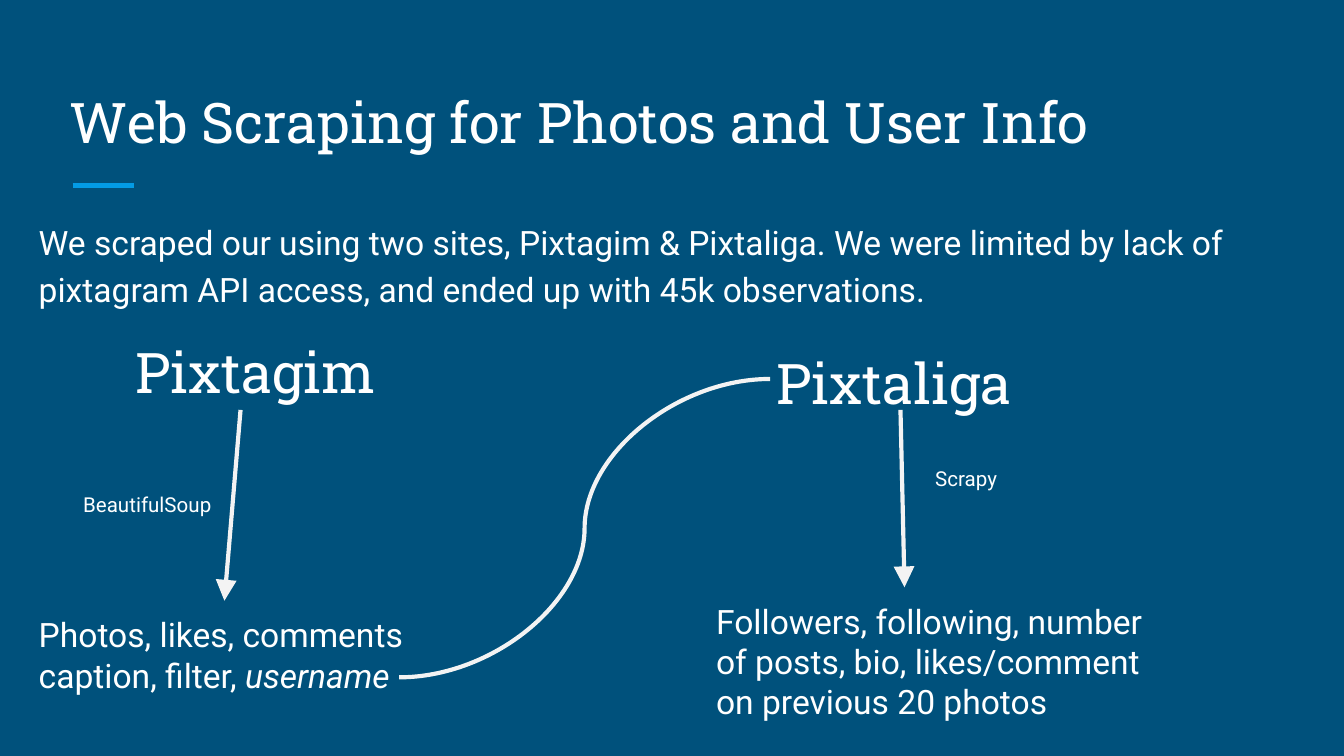
from lxml import etree
from pptx import Presentation
from pptx.dml.color import RGBColor
from pptx.enum.shapes import MSO_CONNECTOR
from pptx.enum.text import MSO_ANCHOR, MSO_AUTO_SIZE, PP_ALIGN
from pptx.oxml.ns import qn
from pptx.util import Inches, Pt

STRAIGHT, CURVE = MSO_CONNECTOR.STRAIGHT, MSO_CONNECTOR.CURVE
TOP, BOTTOM = MSO_ANCHOR.TOP, MSO_ANCHOR.BOTTOM

BACKGROUND, ACCENT, ARROW, TEXT = "00517C", "039BE5", "F3F3F3", "FFFFFF"
HEADING_FONT, BODY_FONT = "Roboto Slab", "Roboto"

TITLE = ("Web Scraping for Photos and User Info", (0.42, 0.5, 9.15, 0.75))
INTRO = ("We scraped our using two sites, Pixtagim & Pixtaliga. We were limited "
         "by lack of pixtagram API access, and ended up with 45k observations.",
         (0.19, 1.51, 9.6, 0.59))

# Each text is a list of (words, italic) runs or a plain string.
SITES = [
    {
        "name": ("Pixtagim", (0.91, 2.36, 2.06, 0.75)),
        "tool": ("BeautifulSoup", (0.52, 3.56, 1.27, 0.45)),
        "data": ([("Photos, likes, comments caption, filter, ", False),
                  ("username", True)], (0.19, 4.47, 2.97, 1.26)),
        "arrow": ((1.79, 3.05), (1.67, 4.47)),
    },
    {
        "name": ("Pixtaliga", (5.68, 2.44, 2.06, 0.75)),
        "tool": ("Scrapy", (6.86, 3.37, 1.27, 0.45)),
        "data": ("Followers, following, number of posts, bio, likes/comment "
                 "on previous 20 photos", (5.23, 4.37, 3.4, 1.26)),
        "arrow": ((6.7, 3.05), (6.73, 4.37)),
    },
]
TITLE_RULE = ((0.54, 1.38), (1, 1.38))
USERNAME_LINK = ((2.97, 5.04), (5.73, 2.82))


def rgb(value):
    return RGBColor.from_string(value)


def fill_text(shape, text, box, size, font=BODY_FONT, anchor=TOP, spacing=1.0):
    """Place a text shape and write one left-aligned paragraph in it."""
    shape.left, shape.top, shape.width, shape.height = map(Inches, box)
    frame = shape.text_frame
    frame.auto_size = MSO_AUTO_SIZE.NONE
    frame.word_wrap = True
    frame.vertical_anchor = anchor
    frame.margin_left = frame.margin_right = Inches(0.1)
    frame.margin_top = frame.margin_bottom = Inches(0.1)
    paragraph = frame.paragraphs[0]
    paragraph.alignment = PP_ALIGN.LEFT
    paragraph.line_spacing = spacing
    paragraph.font.name = font
    paragraph.font.size = Pt(size)
    paragraph.font.color.rgb = rgb(TEXT)
    runs = [(text, False)] if isinstance(text, str) else text
    for words, italic in runs:
        run = paragraph.add_run()
        run.text = words
        if italic:
            run.font.italic = True


def add_text(slide, text, box, size, **style):
    shape = slide.shapes.add_textbox(0, 0, 0, 0)
    fill_text(shape, text, box, size, **style)


def add_line(slide, ends, color, width, kind=STRAIGHT, arrowhead=False):
    (x1, y1), (x2, y2) = ends
    line = slide.shapes.add_connector(kind, *map(Inches, (x1, y1, x2, y2)))
    line.line.color.rgb = rgb(color)
    line.line.width = Pt(width)
    if arrowhead:
        etree.SubElement(line.line._get_or_add_ln(), qn("a:tailEnd"),
                         type="triangle", w="lg", len="lg")
    etree.SubElement(line._element.spPr, qn("a:effectLst"))


def main():
    deck = Presentation()
    deck.slide_width = Inches(10)
    deck.slide_height = deck.slide_width * 9 // 16
    slide = deck.slides.add_slide(deck.slide_layouts.get_by_name("Title Only"))
    slide.background.fill.solid()
    slide.background.fill.fore_color.rgb = rgb(BACKGROUND)

    fill_text(slide.shapes.title, *TITLE, 30, font=HEADING_FONT, anchor=BOTTOM)
    add_line(slide, TITLE_RULE, ACCENT, 3)
    add_text(slide, *INTRO, 18, spacing=1.15)

    for site in SITES:
        add_text(slide, *site["name"], 30, font=HEADING_FONT, anchor=BOTTOM)
        add_line(slide, site["arrow"], ARROW, 2.25, arrowhead=True)
        add_text(slide, *site["tool"], 11)
        add_text(slide, *site["data"], 18)
    add_line(slide, USERNAME_LINK, ARROW, 2.25, kind=CURVE)

    deck.save("out.pptx")


if __name__ == "__main__":
    main()
